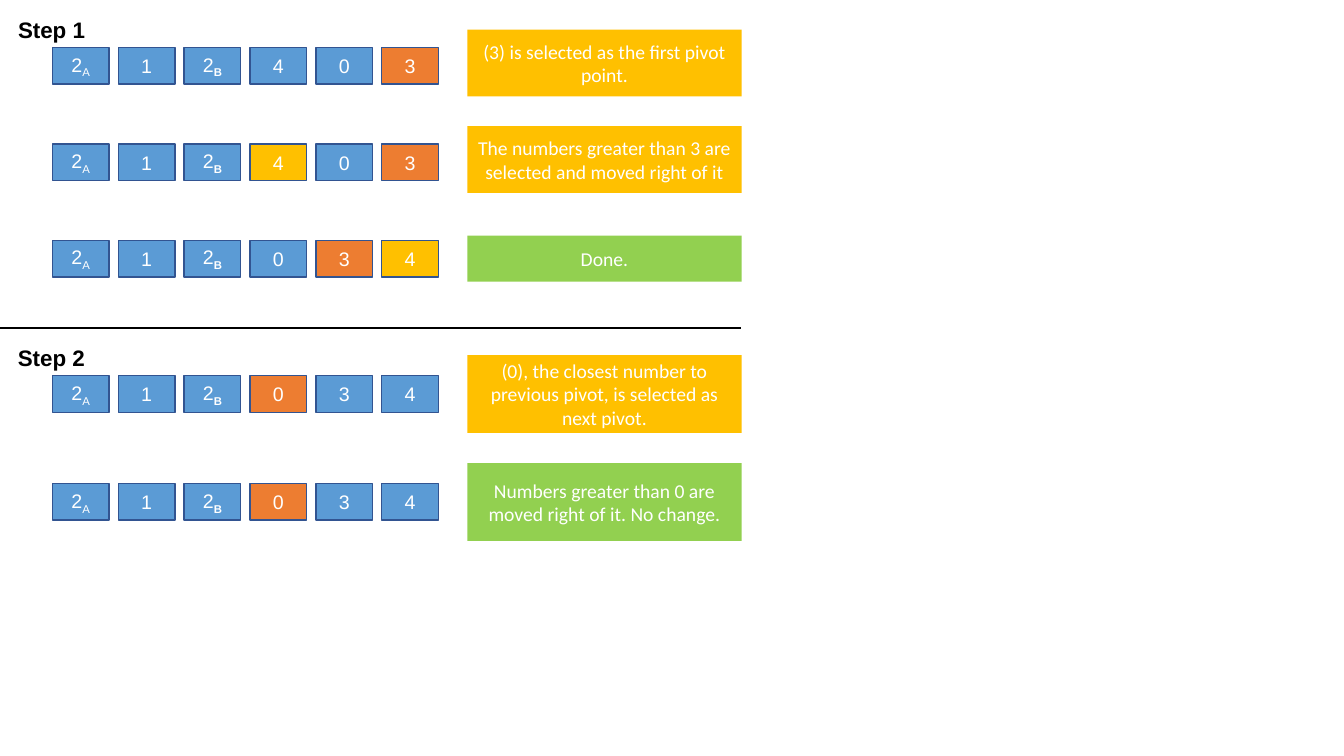
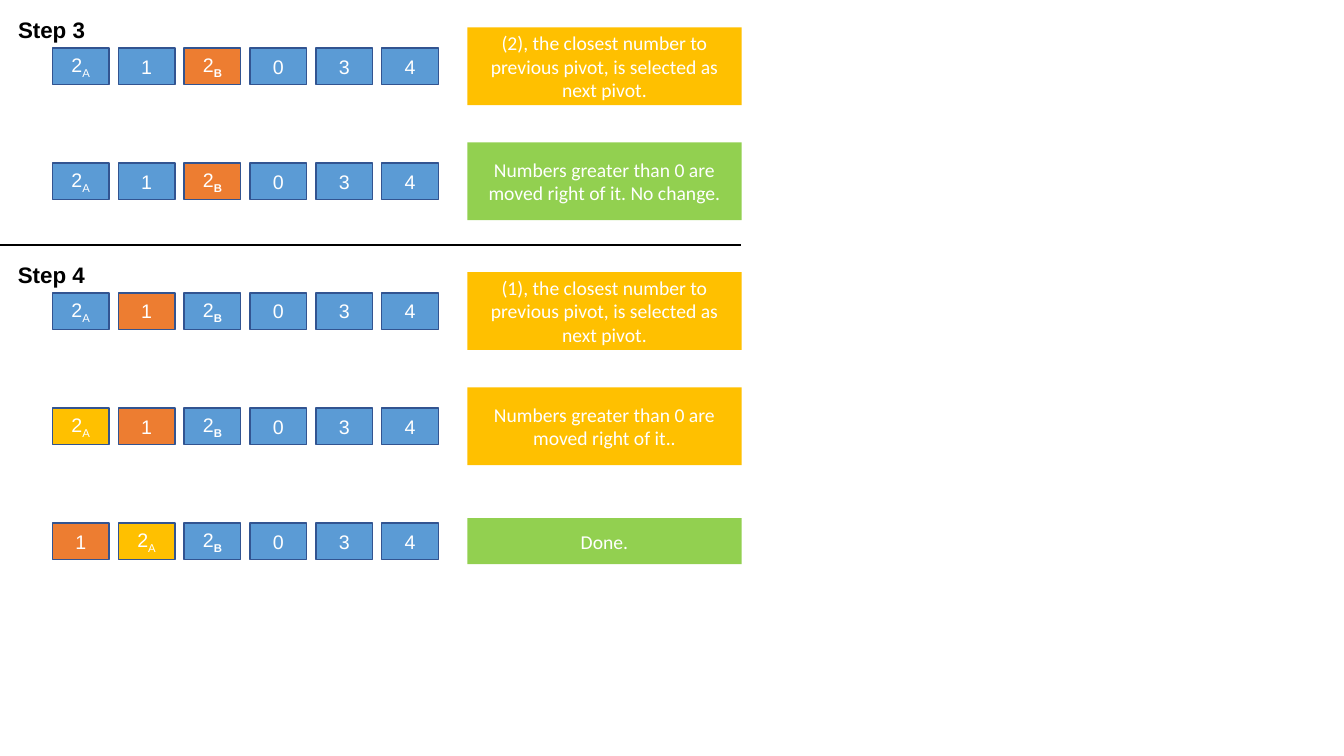
"""Build two slides that walk through a quicksort, one pivot step at a time."""
from dataclasses import dataclass

from lxml.etree import SubElement
from pptx import Presentation
from pptx.dml.color import RGBColor
from pptx.enum.shapes import MSO_CONNECTOR, MSO_SHAPE
from pptx.enum.text import MSO_ANCHOR, MSO_AUTO_SIZE, PP_ALIGN
from pptx.oxml.ns import qn
from pptx.util import Cm, Pt


@dataclass(frozen=True)
class Theme:
    black: RGBColor = RGBColor.from_string("000000")
    white: RGBColor = RGBColor.from_string("FFFFFF")
    blue: RGBColor = RGBColor.from_string("5B9BD5")
    navy: RGBColor = RGBColor.from_string("325491")
    orange: RGBColor = RGBColor.from_string("ED7D31")
    gold: RGBColor = RGBColor.from_string("FFC000")
    green: RGBColor = RGBColor.from_string("92D050")
    number_font: str = "Arial"
    note_font: str = "Calibri"
    heading_size: Pt = Pt(16)
    body_size: Pt = Pt(14)


@dataclass(frozen=True)
class NoteStyle:
    fill: RGBColor
    height: float
    lift: float = 0


theme = Theme()
low_note = NoteStyle(theme.gold, 1.68, 0.07)
tall_note = NoteStyle(theme.gold, 1.96)
unchanged_note = NoteStyle(theme.green, 1.96)
done_note = NoteStyle(theme.green, 1.16)

CELL_LEFT, CELL_PITCH, CELL_WIDTH, CELL_HEIGHT = 1.32, 1.66, 1.43, 0.92
NOTE_LEFT, NOTE_WIDTH = 11.78, 6.91
HEADING_LEFT, HEADING_WIDTH, HEADING_HEIGHT, HEADING_RISE = 0.2, 2.24, 0.94, 1.39
DIVIDER_GAP, DIVIDER_END = 0.28, 18.67

CLOSEST = "({}), the closest number to previous pivot, is selected as next pivot."
NO_CHANGE = "Numbers greater than 0 are moved right of it. No change."
SORTED_BY_ZERO = "2A 1 2B 0 3 4"

# Each step: heading, centre of its first row, row pitch, pivot, rows of (numbers, moved number, note, style)
slides = [
    [
        ("Step 1", 1.66, 2.43, "3", [
            ("2A 1 2B 4 0 3", None, "(3) is selected as the first pivot point.", low_note),
            ("2A 1 2B 4 0 3", "4",
             "The numbers greater than 3 are selected and moved right of it", low_note),
            (SORTED_BY_ZERO, "4", "Done.", done_note),
        ]),
        ("Step 2", 9.93, 2.72, "0", [
            (SORTED_BY_ZERO, None, CLOSEST.format(0), tall_note),
            (SORTED_BY_ZERO, None, NO_CHANGE, unchanged_note),
        ]),
    ],
    [
        ("Step 3", 1.67, 2.9, "2B", [
            (SORTED_BY_ZERO, None, CLOSEST.format(2), tall_note),
            (SORTED_BY_ZERO, None, NO_CHANGE, unchanged_note),
        ]),
        ("Step 4", 7.84, 2.9, "1", [
            (SORTED_BY_ZERO, None, CLOSEST.format(1), tall_note),
            (SORTED_BY_ZERO, "2A", "Numbers greater than 0 are moved right of it..", tall_note),
            ("1 2A 2B 0 3 4", "2A", "Done.", done_note),
        ]),
    ],
]


def style_run(run, font_name, size, color, bold=False):
    run.font.name = font_name
    run.font.size = size
    run.font.color.rgb = color
    run.font.bold = bold


def add_box(slide, left, centre, width, height, fill, text, font_name):
    box = slide.shapes.add_shape(
        MSO_SHAPE.RECTANGLE, Cm(left), Cm(centre - height / 2), Cm(width), Cm(height))
    box.shadow.inherit = False
    box.fill.solid()
    box.fill.fore_color.rgb = fill
    box.line.fill.background()
    box.text_frame.word_wrap = True
    box.text_frame.vertical_anchor = MSO_ANCHOR.MIDDLE
    box.text_frame.text = text
    paragraph = box.text_frame.paragraphs[0]
    paragraph.alignment = PP_ALIGN.CENTER
    style_run(paragraph.runs[0], font_name, theme.body_size, theme.white)
    return box


presentation = Presentation()
presentation.slide_width = Cm(33.87)
presentation.slide_height = Cm(19.05)
title_only = presentation.slide_layouts[5]

for steps in slides:
    slide = presentation.slides.add_slide(title_only)
    for step_index, (step_name, first_centre, row_pitch, pivot, rows) in enumerate(steps):
        heading_top = first_centre - HEADING_RISE
        if step_index == 0:
            heading = slide.shapes.title
        else:
            heading = slide.shapes.add_textbox(0, 0, 0, 0)
            divider_y = Cm(heading_top - DIVIDER_GAP)
            divider = slide.shapes.add_connector(
                MSO_CONNECTOR.STRAIGHT, Cm(0), divider_y, Cm(DIVIDER_END), divider_y)
            divider.line.color.rgb = theme.black
            divider.line.width = Pt(1.5)
            SubElement(divider._element.spPr, qn("a:effectLst"))

        heading.left, heading.top = Cm(HEADING_LEFT), Cm(heading_top)
        heading.width, heading.height = Cm(HEADING_WIDTH), Cm(HEADING_HEIGHT)
        heading.text_frame.text = step_name
        heading.text_frame.word_wrap = False
        heading.text_frame.auto_size = MSO_AUTO_SIZE.SHAPE_TO_FIT_TEXT
        heading.text_frame.vertical_anchor = MSO_ANCHOR.TOP
        heading_line = heading.text_frame.paragraphs[0]
        heading_line.alignment = PP_ALIGN.LEFT
        style_run(heading_line.runs[0], theme.number_font, theme.heading_size, theme.black, True)

        for row_index, (numbers, moved, note, note_style) in enumerate(rows):
            centre = first_centre + row_index * row_pitch
            cell_fills = {pivot: theme.orange, moved: theme.gold}
            for column, number in enumerate(numbers.split()):
                cell = add_box(
                    slide, CELL_LEFT + column * CELL_PITCH, centre, CELL_WIDTH, CELL_HEIGHT,
                    cell_fills.get(number, theme.blue), number[0], theme.number_font)
                cell.line.color.rgb = theme.navy
                cell.line.width = Pt(1)
                if len(number) > 1:
                    subscript = cell.text_frame.paragraphs[0].add_run()
                    subscript.text = number[1]
                    style_run(subscript, theme.number_font, theme.body_size, theme.white,
                              number == "2B")
                    subscript._r.get_or_add_rPr().set("baseline", "-25000")
            add_box(slide, NOTE_LEFT, centre - note_style.lift, NOTE_WIDTH, note_style.height,
                    note_style.fill, note, theme.note_font)

presentation.save("out.pptx")
